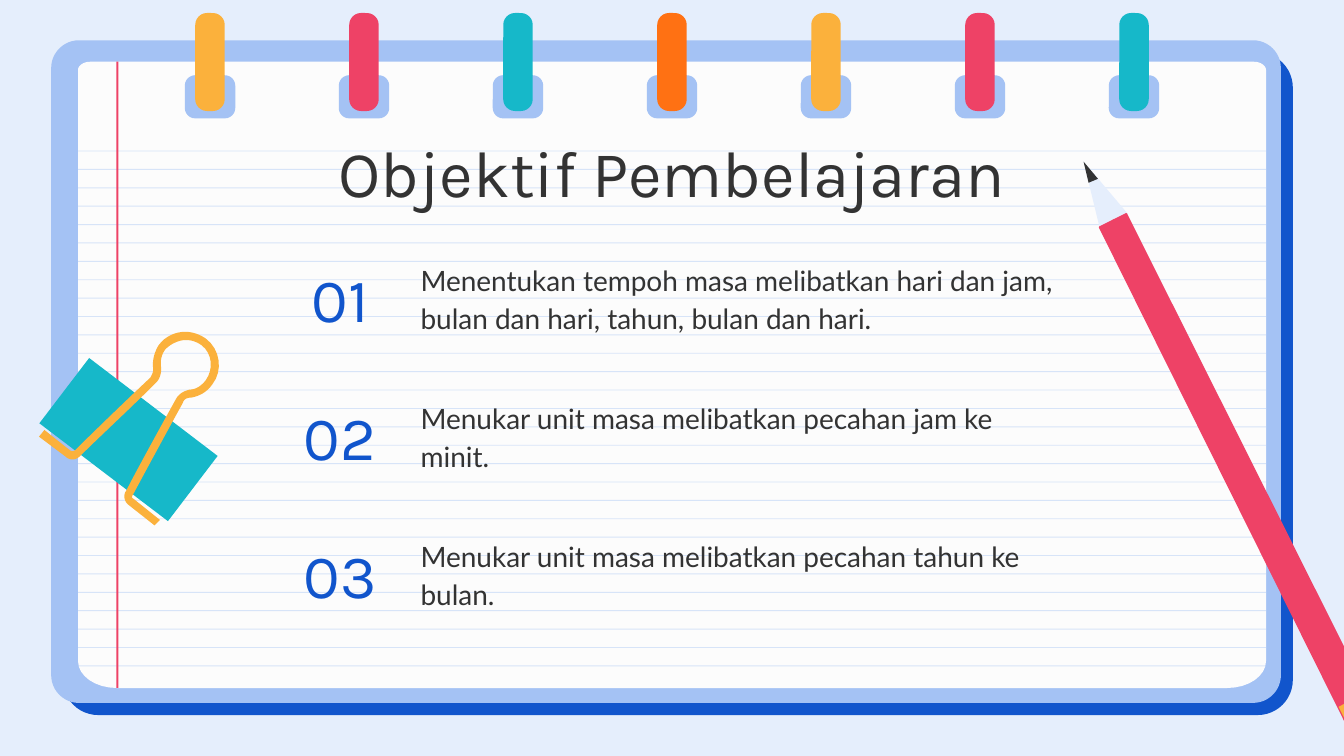
import pptx
import pptx.util
import pptx.dml.color
import pptx.enum.shapes
import pptx.enum.text
import lxml.etree

Pt = pptx.util.Pt
MSO = pptx.enum.shapes.MSO_SHAPE
ANCHOR = pptx.enum.text.MSO_ANCHOR
ALIGN = pptx.enum.text.PP_ALIGN
NS = "http://schemas.openxmlformats.org/drawingml/2006/main"

YELLOW, PINK, TEAL, ORANGE = "FBB13C", "EE4266", "16B8C9", "FF7113"
BLUE, SKY, PALE, PAPER, DARK = "1155CC", "A4C2F4", "E5EEFC", "FCFCFC", "333333"

GOALS = [
    "Menentukan tempoh masa melibatkan hari dan jam, bulan dan hari, tahun, bulan dan hari.",
    "Menukar unit masa melibatkan pecahan jam ke minit.",
    "Menukar unit masa melibatkan pecahan tahun ke bulan.",
]

PAPER_EDGE = [
    (678.2, 37.4), (678.2, 35.3, 675.4, 33.1, 671.8, 33.1),
    (48.2, 33.1), (44.6, 33.1, 41.8, 35.3, 41.8, 37.4),
    (41.8, 354.2), (41.8, 362.2, 51.1, 368.6, 62.6, 368.6),
    (657.4, 368.6), (668.9, 368.6, 678.2, 362.2, 678.2, 354.2),
]

CLIP_WIRE = [
    (99.4, 177.8), (94.3, 177.8, 88.6, 180, 85, 185),
    (82.8, 188.6, 81.4, 193, 82.1, 198), (82.1, 199.4, 81.4, 200.9, 80.6, 202.3),
    (69.8, 212.4, 47.5, 234, 40.3, 241.2), (39.6, 241.9, 38.2, 241.9, 37.4, 241.2),
    (23.8, 230.4), (20.9, 234), (35.3, 244.8),
    (36, 245.5, 37.4, 246.2, 38.9, 246.2), (40.3, 246.2, 41.8, 245.5, 43.2, 244.1),
    (50.4, 236.9, 72.7, 216, 83.5, 205.2), (85.7, 203, 86.4, 200.2, 86.4, 197.3),
    (85.7, 193.7, 86.4, 190.1, 88.6, 187.2), (91.4, 184.3, 95.8, 182.2, 99.4, 182.2),
    (102.2, 182.2, 105.1, 182.9, 108, 185), (113.8, 189.4, 114.5, 198, 110.2, 203.8),
    (108, 206.6, 105.1, 208.8, 101.5, 208.8), (98.6, 209.5, 95.8, 211, 94.3, 213.8),
    (87.1, 226.8, 72, 254.2, 67.7, 262.8), (65.5, 265.7, 67, 269.3, 69.1, 270.7),
    (82.8, 281.5), (85.7, 278.6), (71.3, 267.1),
    (70.6, 267.1, 70.6, 265.7, 71.3, 265), (76.3, 255.6, 90.7, 229, 97.9, 216),
    (98.6, 213.8, 100.1, 213.1, 102.2, 213.1), (106.6, 212.4, 110.9, 210.2, 113.8, 205.9),
    (119.5, 198.7, 118.1, 187.2, 110.2, 181.4), (107.3, 179.3, 103, 177.8, 99.4, 177.8),
]


def color(value):
    return pptx.dml.color.RGBColor.from_string(value)


def paint(sp, fill, line=None, alpha=None):
    sp.shadow.inherit = False
    sp.fill.solid()
    sp.fill.fore_color.rgb = color(fill)
    if alpha:
        clr = sp.fill._xPr.find(f".//{{{NS}}}srgbClr")
        lxml.etree.SubElement(clr, f"{{{NS}}}alpha", val=str(alpha * 1000))
    if line:
        sp.line.color.rgb = color(line)
        sp.line.width = Pt(0.75)
    else:
        sp.line.fill.background()


def add_box(s, x, y, w, h, fill, radius=None, alpha=None):
    kind = MSO.RECTANGLE if radius is None else MSO.ROUNDED_RECTANGLE
    sp = s.shapes.add_shape(kind, Pt(x), Pt(y), Pt(w), Pt(h))
    if radius is not None:
        sp.adjustments[0] = radius
    paint(sp, fill, alpha=alpha)


def flatten(path, steps=8):
    points = [path[0]]
    for part in path[1:]:
        if len(part) == 2:
            points.append(part)
            continue
        x0, y0 = points[-1]
        x1, y1, x2, y2, x3, y3 = part
        for i in range(1, steps + 1):
            t = i / steps
            a, b, c, d = (1 - t) ** 3, 3 * t * (1 - t) ** 2, 3 * t * t * (1 - t), t ** 3
            points.append((a * x0 + b * x1 + c * x2 + d * x3,
                           a * y0 + b * y1 + c * y2 + d * y3))
    return points


def add_outline(s, path, fill, line=None):
    points = [(Pt(x), Pt(y)) for x, y in flatten(path)]
    builder = s.shapes.build_freeform(*points[0])
    builder.add_line_segments(points[1:], close=True)
    paint(builder.convert_to_shape(), fill, line)


def write(sp, text, font, size, fill, align, anchor, spacing=1.0):
    tf = sp.text_frame
    tf.text = text
    tf.word_wrap = True
    tf.auto_size = pptx.enum.text.MSO_AUTO_SIZE.NONE
    tf.vertical_anchor = anchor
    tf.margin_left = tf.margin_right = tf.margin_top = tf.margin_bottom = Pt(7.2)
    p = tf.paragraphs[0]
    p.alignment = align
    p.line_spacing = spacing
    r = p.runs[0]
    r.font.name = font
    r.font.size = Pt(size)
    r.font.color.rgb = color(fill)


def add_notebook(s):
    add_box(s, 33.8, 28.1, 658.8, 355, BLUE, 0.053)
    add_box(s, 27.4, 21.6, 658.8, 355, SKY, 0.042)
    add_outline(s, PAPER_EDGE, PAPER)
    for i, fill in enumerate([YELLOW, PINK, TEAL, ORANGE, YELLOW, PINK, TEAL]):
        center = 360 + 82.5 * (i - 3)
        add_box(s, center - 13.5, 40.3, 27, 23.1, SKY, 0.24)
        add_box(s, center - 7.9, 7, 15.8, 52.5, fill, 0.4)
    for i in range(29):
        add_box(s, 41.8, 80.7 + 9.85 * i, 636.4, 0.5, SKY, alpha=41)
    add_box(s, 62.4, 33.1, 1.1, 335.5, PINK)


def add_title(s):
    sp = s.shapes.title
    sp.left, sp.top, sp.width, sp.height = Pt(56.2), Pt(63.4), Pt(607.7), Pt(46.8)
    write(sp, "Objektif Pembelajaran", "Karla", 35, DARK, ALIGN.CENTER, ANCHOR.TOP)
    sp.element.getparent().append(sp.element)


def add_goal(s, index, text):
    y = 73.9 * index
    sp = s.shapes.add_textbox(Pt(218.2), Pt(144.7 + y), Pt(361.4), Pt(28.8))
    write(sp, text, "Lato", 15, DARK, ALIGN.LEFT, ANCHOR.MIDDLE, 1.15)
    sp = s.shapes.add_textbox(Pt(140.4), Pt(139.7 + y), Pt(83.5), Pt(39.6))
    write(sp, f"{index + 1:02d}", "Karla", 33, BLUE, ALIGN.CENTER, ANCHOR.MIDDLE)


def add_clip(s):
    add_outline(s, [(47.8, 191.8), (21.1, 226.8), (90, 279.2), (116.6, 244.3)], TEAL)
    add_outline(s, CLIP_WIRE, YELLOW)


def add_pencil(s):
    tip = (580.5, 86.6)
    add_outline(s, [tip, (589, 121.7), (604.1, 114.5)], PALE)
    add_outline(s, [tip, (583.2, 97.9), (588.2, 95.8)], DARK)
    middle = [(596.2, 118.1), (733, 391)]
    add_outline(s, middle + [(740.2, 387.4), (603.4, 114.5)], PINK, PINK)
    add_outline(s, middle + [(725, 395.3), (589, 121.7)], PINK, PINK)
    add_outline(s, [(717.1, 378.7), (726.5, 397.4), (741.6, 390.2), (732.2, 370.8)], YELLOW)


def main():
    prs = pptx.Presentation()
    prs.slide_width, prs.slide_height = Pt(720), Pt(405)
    s = prs.slides.add_slide(prs.slide_layouts[5])
    s.background.fill.solid()
    s.background.fill.fore_color.rgb = color(PALE)
    add_notebook(s)
    add_title(s)
    for i, text in enumerate(GOALS):
        add_goal(s, i, text)
    add_clip(s)
    add_pencil(s)
    prs.save("out.pptx")


if __name__ == "__main__":
    main()
